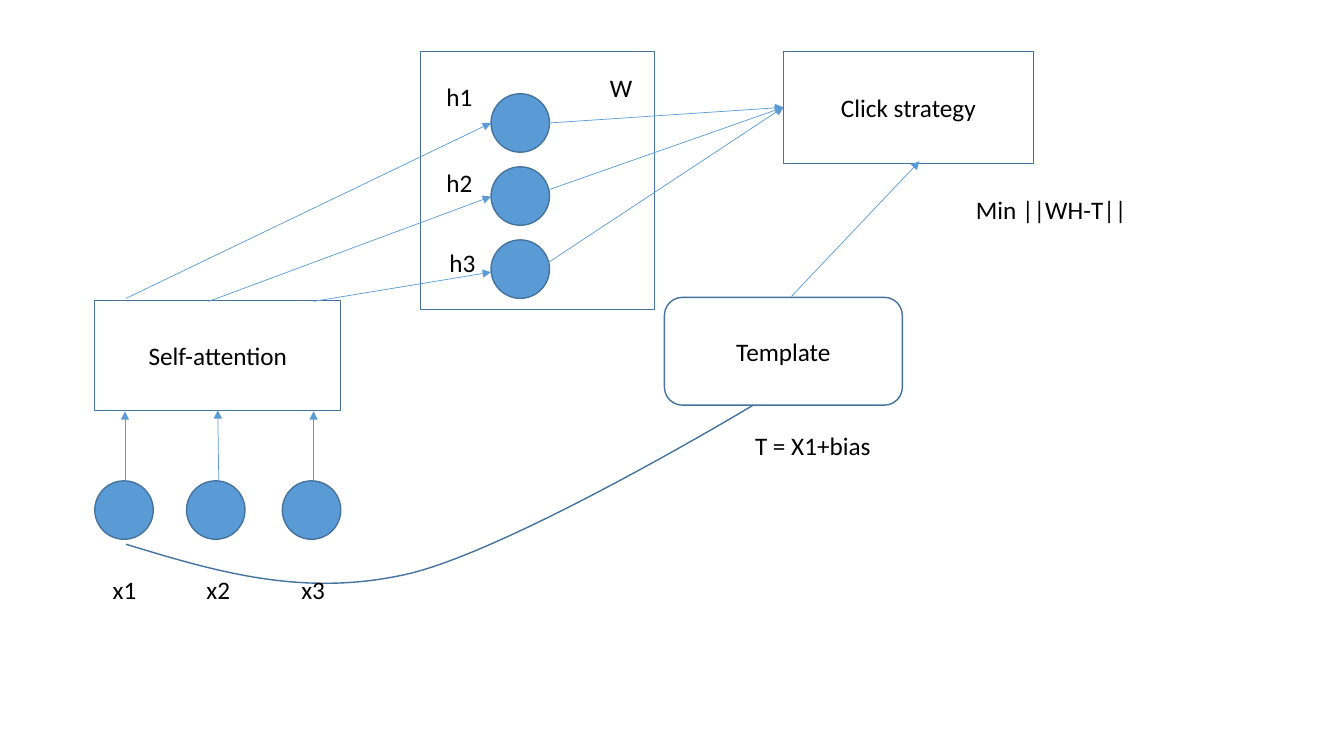
from lxml.etree import SubElement
from pptx import Presentation
from pptx.dml.color import RGBColor
from pptx.enum.shapes import MSO_CONNECTOR, MSO_SHAPE
from pptx.enum.text import MSO_ANCHOR, MSO_AUTO_SIZE, PP_ALIGN
from pptx.oxml.ns import qn
from pptx.util import Inches, Pt

BLUE = RGBColor(0x5B, 0x9B, 0xD5)
OUTLINE = RGBColor(0x43, 0x73, 0x9E)
BLACK = RGBColor(0, 0, 0)
TEXT_FORMAT = {"name": "Calibri", "size": Pt(18)}

DIAMETER = 0.58
INPUT_LEFTS = [0.94, 1.85, 2.8]
INPUT_TOP = 4.77
HIDDEN_LEFT, HIDDEN_TOP, HIDDEN_STEP = 4.87, 0.93, 0.725

BOXES = [
    ("Self-attention", MSO_SHAPE.RECTANGLE, (0.94, 2.98, 2.44, 1.09)),
    ("Template", MSO_SHAPE.ROUNDED_RECTANGLE, (6.59, 2.95, 2.36, 1.07)),
    ("Click strategy", MSO_SHAPE.RECTANGLE, (7.77, 0.51, 2.48, 1.11)),
    ("", MSO_SHAPE.RECTANGLE, (4.17, 0.51, 2.32, 2.56)),
]
LABELS = [
    ("x1", 1.02, 5.65, 0.44),
    ("x2", 1.95, 5.65, 0.44),
    ("x3", 2.89, 5.65, 0.44),
    ("h1", 4.33, 0.76, 0.46),
    ("h2", 4.33, 1.61, 0.46),
    ("h3", 4.36, 2.4, 0.46),
    ("W", 5.95, 0.67, 0.43),
    ("T = X1+bias", 7.39, 4.22, 1.36),
    ("Min ||WH-T||", 9.58, 1.88, 1.71),
]
LABEL_HEIGHT = 0.4
ARROWS = [
    ((1.24, 4.77), (1.24, 4.08), None),
    ((2.17, 4.77), (2.17, 4.08), ("Self-attention", 2)),
    ((3.11, 4.77), (3.11, 4.08), None),
    ((1.25, 2.96), (4.87, 1.22), None),
    ((2.07, 2.99), (4.87, 1.95), None),
    ((3.11, 2.99), (4.87, 2.7), None),
    ((5.45, 1.22), (7.77, 1.06), ("Click strategy", 1)),
    ((5.45, 1.88), (7.77, 1.06), ("Click strategy", 1)),
    ((5.43, 2.61), (7.77, 1.06), ("Click strategy", 1)),
    ((7.85, 2.94), (9.12, 1.6), None),
]
CURVE_START, CURVE_LOWEST, CURVE_END = (1.25, 5.4), (3.25, 5.79), (7.47, 4.02)
CURVE_SEGMENTS = [
    [(2.11, 5.66), (2.98, 5.93), (4.02, 5.7)],
    [(5.06, 5.47), (7.47, 4.02), CURVE_END],
]


def inches(values):
    """Convert a sequence of numbers to lengths."""
    return [Inches(value) for value in values]


def outline(shape, fill=None):
    """Give a shape its border and its optional fill."""
    shape.shadow.inherit = False
    if fill is None:
        shape.fill.background()
    else:
        shape.fill.solid()
        shape.fill.fore_color.rgb = fill
    shape.line.color.rgb = OUTLINE
    shape.line.width = Pt(1)


def write(para, text):
    """Add one formatted run to a paragraph."""
    span = para.add_run()
    span.text = text
    for name, value in TEXT_FORMAT.items():
        setattr(span.font, name, value)
    span.font.color.rgb = BLACK


def add_circle(page, left, top):
    """Draw one blue node."""
    circle = page.shapes.add_shape(
        MSO_SHAPE.OVAL, *inches((left, top, DIAMETER, DIAMETER)))
    outline(circle, BLUE)


def add_box(page, text, kind, place):
    """Draw an outlined box with centred text."""
    box = page.shapes.add_shape(kind, *inches(place))
    outline(box)
    if text:
        box.text_frame.vertical_anchor = MSO_ANCHOR.MIDDLE
        para = box.text_frame.paragraphs[0]
        para.alignment = PP_ALIGN.CENTER
        write(para, text)
    return box


def add_label(page, text, left, top, width):
    """Place a text label that does not wrap."""
    label = page.shapes.add_textbox(*inches((left, top, width, LABEL_HEIGHT)))
    label.text_frame.word_wrap = False
    label.text_frame.auto_size = MSO_AUTO_SIZE.SHAPE_TO_FIT_TEXT
    write(label.text_frame.paragraphs[0], text)


def add_arrow(page, start, end, target, boxes):
    """Draw an arrow and join it to its target box."""
    arrow = page.shapes.add_connector(
        MSO_CONNECTOR.STRAIGHT, *inches(start + end))
    if target:
        name, side = target
        arrow.end_connect(boxes[name], side)
    arrow.line.color.rgb = BLUE
    arrow.line.width = Pt(0.5)
    SubElement(arrow.line._get_or_add_ln(), qn("a:tailEnd"), type="triangle")
    SubElement(arrow._element.spPr, qn("a:effectLst"))


def add_curve(page):
    """Draw the curve from the first input to the template."""
    builder = page.shapes.build_freeform(*inches(CURVE_START))
    builder.add_line_segments(
        [inches(CURVE_LOWEST), inches(CURVE_END)], close=False)
    curve = builder.convert_to_shape()
    outline(curve)
    outline_path = next(curve._element.iter(qn("a:path")))
    for straight in outline_path.findall(qn("a:lnTo")):
        outline_path.remove(straight)
    for segment in CURVE_SEGMENTS:
        bezier = SubElement(outline_path, qn("a:cubicBezTo"))
        for x, y in segment:
            SubElement(bezier, qn("a:pt"), x=str(Inches(x) - curve.left),
                       y=str(Inches(y) - curve.top))


def main():
    """Build the attention diagram."""
    deck = Presentation()
    deck.slide_width, deck.slide_height = inches((13.33, 7.5))
    page = deck.slides.add_slide(deck.slide_layouts[6])
    for index, left in enumerate(INPUT_LEFTS):
        add_circle(page, left, INPUT_TOP)
        add_circle(page, HIDDEN_LEFT, HIDDEN_TOP + index * HIDDEN_STEP)
    boxes = {item[0]: add_box(page, *item) for item in BOXES}
    for arrow in ARROWS:
        add_arrow(page, *arrow, boxes)
    add_curve(page)
    for label in LABELS:
        add_label(page, *label)
    deck.save("out.pptx")


if __name__ == "__main__":
    main()
